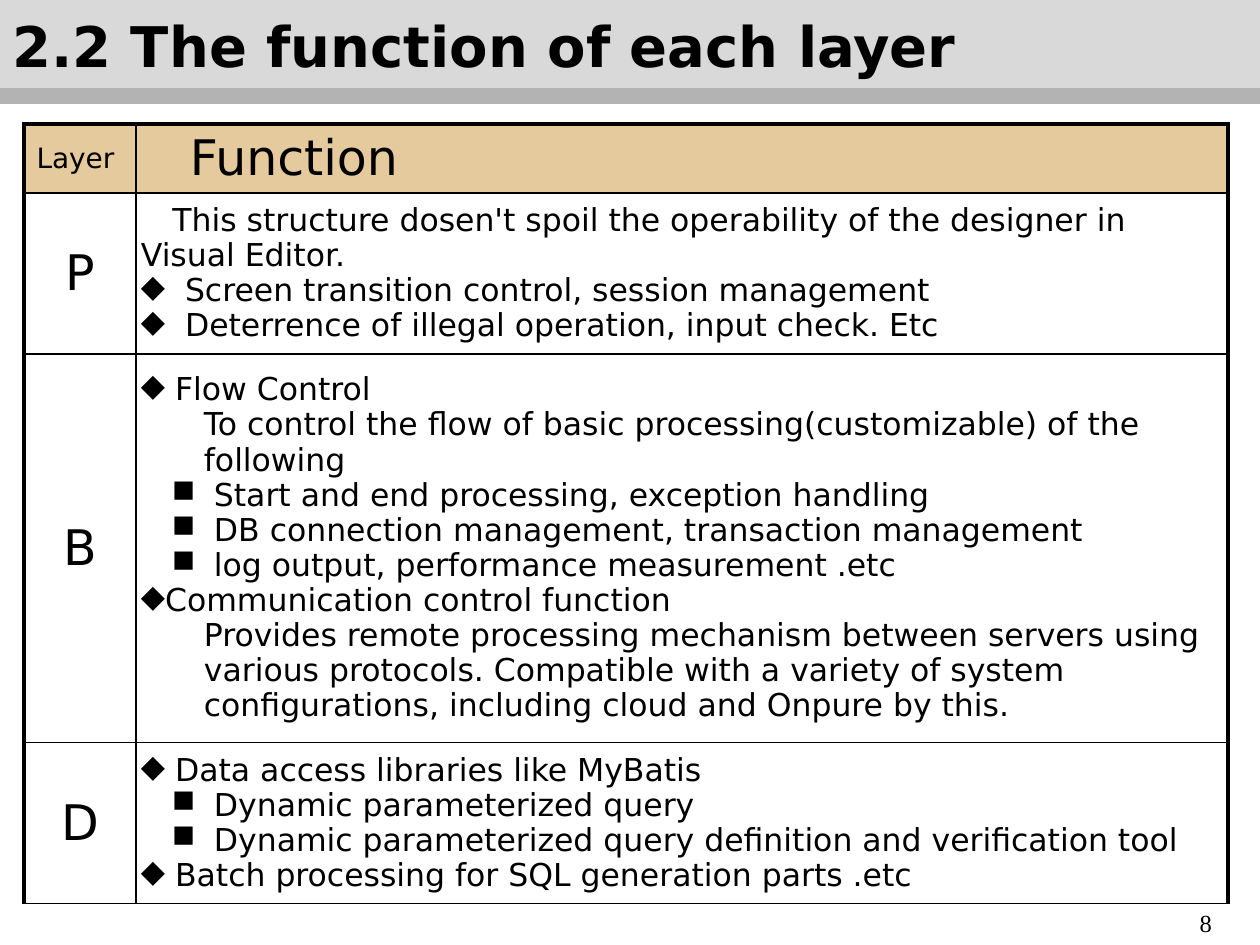
from dataclasses import dataclass
from typing import Any

from lxml import etree
from pptx import Presentation
from pptx import util as u
from pptx.dml.color import RGBColor
from pptx.enum import shapes, text
from pptx.oxml.ns import qn

SCALE = 914400 // 126


@dataclass(frozen=True)
class Theme:
    ink: str = "000000"
    band: str = "D9D9D9"
    rule: str = "B3B3B3"
    header: str = "E4CA9C"
    sans: str = "DejaVu Sans"
    serif: str = "Times New Roman"
    title: int = 32
    letter: int = 28
    body: int = 18
    label: int = 16
    number: int = 14
    thick: float = 2.25
    thin: float = 1


@dataclass(frozen=True)
class Line:
    words: str
    bullet: str = ""
    left: int = 0
    hang: int = 0


@dataclass(frozen=True)
class Layer:
    letter: str
    height: int
    lines: tuple[Line, ...]


THEME = Theme()
INSET = 5
HEADER_HEIGHT = 68
TABLE_LEFT, TABLE_TOP = 24, 124
COLUMNS = (112, 1092)


def point(words: str) -> Line:
    return Line(words, "◆")


def detail(words: str) -> Line:
    return Line(words, "■", 63, 32)


def note(words: str) -> Line:
    return Line(words, left=63)


LAYERS = (
    Layer("P", 161, (
        Line("\u3000This structure dosen't spoil the operability of the designer in Visual Editor. "),
        point("  Screen transition control, session management "),
        point("  Deterrence of illegal operation, input check. Etc"),
    )),
    Layer("B", 389, (
        point(" Flow Control "),
        note("To control the flow of basic processing(customizable) of the following "),
        detail(" Start and end processing, exception handling "),
        detail(" DB connection management, transaction management "),
        detail(" log output, performance measurement .etc"),
        point("Communication control function "),
        note("Provides remote processing mechanism between servers using various protocols. "
             "Compatible with a variety of system configurations, including cloud and Onpure by this."),
    )),
    Layer("D", 161, (
        point(" Data access libraries like MyBatis "),
        detail(" Dynamic parameterized query "),
        detail(" Dynamic parameterized query definition and verification tool "),
        point(" Batch processing for SQL generation parts .etc"),
    )),
)


def px(length: int) -> int:
    return u.Emu(length * SCALE)


def assign(target: Any, values: dict[str, Any]) -> None:
    for name, value in values.items():
        setattr(target, name, value)


def paint(target: Any, color: str) -> None:
    target.fill.solid()
    target.fill.fore_color.rgb = RGBColor.from_string(color)


def write(para: Any, words: str, size: int, font: str = THEME.sans, bold: bool = False,
          **layout: Any) -> None:
    span = para.add_run()
    span.text = words
    assign(span.font, {"size": u.Pt(size), "name": font, "bold": bold})
    span.font.color.rgb = RGBColor.from_string(THEME.ink)
    assign(para, layout)
    props = span._r.get_or_add_rPr()
    for tag in ("a:ea", "a:cs"):
        etree.SubElement(props, qn(tag), typeface=font)


def add_bar(page: Any, top: int, height: int, color: str) -> None:
    bar = page.shapes.add_shape(shapes.MSO_SHAPE.RECTANGLE, 0, px(top), px(1260), px(height))
    bar.shadow.inherit = False
    bar.line.fill.background()
    paint(bar, color)


def add_label(page: Any, area: tuple[int, int, int, int], frame_format: dict[str, Any],
              words: str, size: int, **style: Any) -> None:
    box = page.shapes.add_textbox(*map(px, area))
    assign(box.text_frame, frame_format)
    write(box.text_frame.paragraphs[0], words, size, **style)


def indent(para: Any, line: Line) -> None:
    props = para._p.get_or_add_pPr()
    props.set("marL", str(px(line.left)))
    props.set("indent", str(px(-line.hang)))
    if line.left:
        props.set("lvl", "1")
    if line.bullet:
        etree.SubElement(props, qn("a:buChar"), char=line.bullet)
    else:
        etree.SubElement(props, qn("a:buNone"))


def border(cell: Any, widths: dict[str, float]) -> None:
    props = cell._tc.get_or_add_tcPr()
    for index, (side, width) in enumerate(widths.items()):
        edge = etree.Element(qn(f"a:ln{side}"), w=str(u.Pt(width)))
        fill = etree.SubElement(edge, qn("a:solidFill"))
        etree.SubElement(fill, qn("a:srgbClr"), val=THEME.ink)
        props.insert(index, edge)


def add_layer_table(page: Any) -> None:
    heights = (HEADER_HEIGHT, *(layer.height for layer in LAYERS))
    frame = page.shapes.add_table(len(heights), len(COLUMNS), px(TABLE_LEFT), px(TABLE_TOP),
                                  px(sum(COLUMNS)), px(sum(heights)))
    table = frame.table
    assign(table, {"first_row": False, "horz_banding": False})
    for column, width in zip(table.columns, COLUMNS):
        column.width = px(width)
    for index, (row, height) in enumerate(zip(table.rows, heights)):
        row.height = px(height)
        for place, cell in enumerate(row.cells):
            assign(cell, {f"margin_{side}": px(INSET) for side in ("left", "right", "top", "bottom")})
            cell.vertical_anchor = text.MSO_ANCHOR.MIDDLE
            if index == 0:
                paint(cell, THEME.header)
            else:
                cell.fill.background()
            border(cell, {"L": THEME.thin if place else THEME.thick,
                          "R": THEME.thick if place else THEME.thin,
                          "T": THEME.thin if index else THEME.thick,
                          "B": THEME.thin})

    def heading(row: int, column: int, words: str, size: int, align: Any) -> None:
        write(table.cell(row, column).text_frame.paragraphs[0], words, size,
              alignment=align, space_before=u.Pt(size * 0.2))

    heading(0, 0, "Layer ", THEME.label, text.PP_ALIGN.CENTER)
    heading(0, 1, "\u3000Function", THEME.letter, text.PP_ALIGN.LEFT)
    for row, layer in enumerate(LAYERS, 1):
        heading(row, 0, layer.letter, THEME.letter, text.PP_ALIGN.CENTER)
        body = table.cell(row, 1).text_frame
        for index, line in enumerate(layer.lines):
            para = body.add_paragraph() if index else body.paragraphs[0]
            write(para, line.words, THEME.body, line_spacing=0.96)
            indent(para, line)


def main() -> None:
    deck = Presentation()
    assign(deck, {"slide_width": px(1260), "slide_height": px(945)})
    page = deck.slides.add_slide(deck.slide_layouts[6])
    add_bar(page, 0, 104, THEME.band)
    add_bar(page, 88, 16, THEME.rule)
    add_label(page, (1188, 902, 65, 42),
              {"word_wrap": True, "margin_left": 0, "margin_right": px(41)},
              "8", THEME.number, font=THEME.serif, alignment=text.PP_ALIGN.RIGHT)
    add_label(page, (0, 4, 1260, 81),
              {"word_wrap": True, "vertical_anchor": text.MSO_ANCHOR.BOTTOM},
              "2.2 The function of each layer", THEME.title, bold=True)
    add_layer_table(page)
    deck.save("out.pptx")


main()
